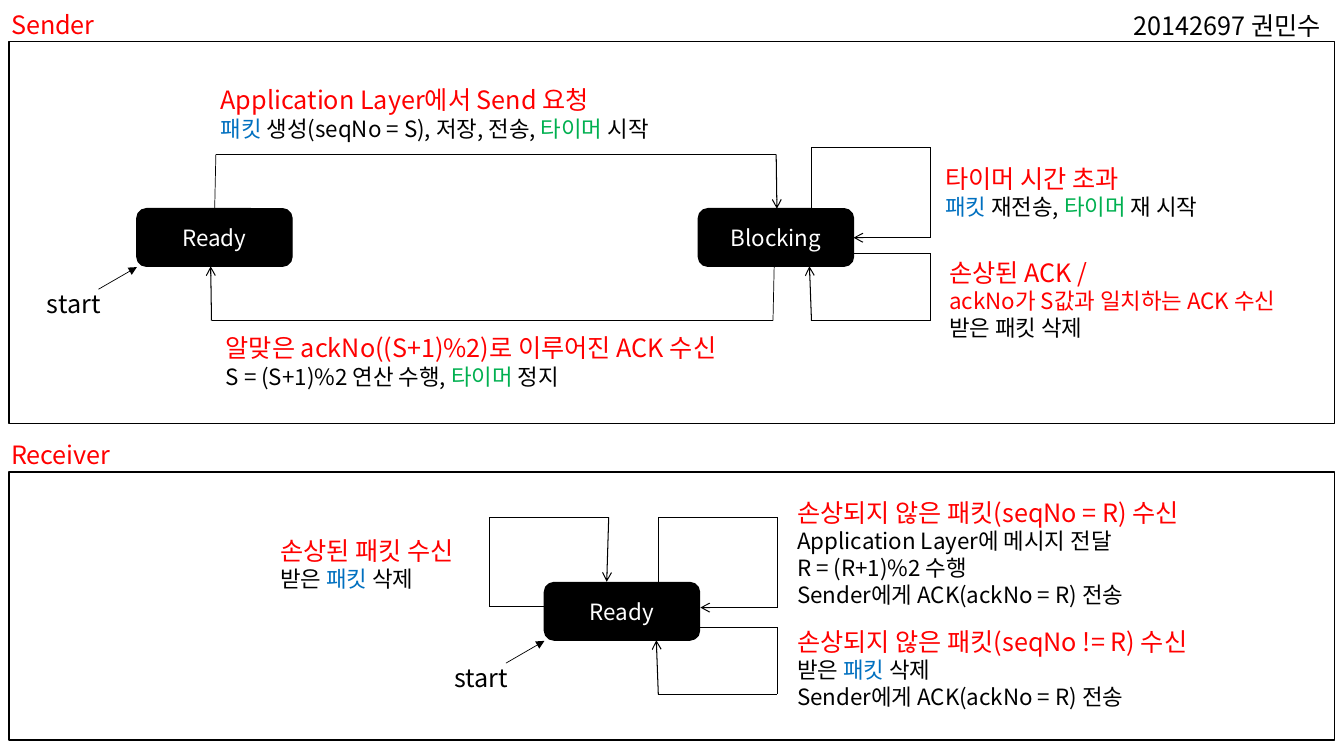
from dataclasses import dataclass
from lxml.etree import SubElement
from pptx import Presentation
from pptx.dml.color import RGBColor
from pptx.enum.shapes import MSO_CONNECTOR, MSO_SHAPE
from pptx.enum.text import MSO_ANCHOR, PP_ALIGN
from pptx.oxml.ns import qn
from pptx.util import Cm, Pt

FONT = "Noto Sans CJK KR"
HUES = {"black": "000000", "white": "FFFFFF", "red": "FF0000",
        "blue": "0070C0", "green": "00B050"}
Run = tuple[str, str]
Point = tuple[float, float]


@dataclass
class Panel:
    title: str
    top: float
    height: float


@dataclass
class State:
    name: str
    left: float
    top: float
    start: bool = True


@dataclass
class Route:
    points: list[Point]
    head: str = "arrow"
    width: float = 0.75

    def move(self, dx: float, dy: float) -> "Route":
        return Route([(x + dx, y + dy) for x, y in self.points])


@dataclass
class Label:
    left: float
    top: float
    width: float
    height: float
    lines: list[list[Run]]
    align: PP_ALIGN = PP_ALIGN.LEFT


deck = Presentation()
deck.slide_width, deck.slide_height = Cm(33.87), Cm(19.05)
slide = deck.slides.add_slide(deck.slide_layouts[6])
shapes = slide.shapes


def color(name: str) -> RGBColor:
    return RGBColor.from_string(HUES[name])


def write(para, runs: list[Run], size: int) -> None:
    para.font.size = Pt(size)
    para.font.name = FONT
    base = para._p.pPr.find(qn("a:defRPr"))
    SubElement(base, qn("a:ea")).set("typeface", FONT)
    hues = {hue for _, hue in runs}
    if len(hues) == 1:
        para.font.color.rgb = color(runs[0][1])
    for text, hue in runs:
        run = para.add_run()
        run.text = text
        if len(hues) > 1:
            run.font.color.rgb = color(hue)


def draw_label(label: Label) -> None:
    box = shapes.add_textbox(Cm(label.left), Cm(label.top),
                             Cm(label.width), Cm(label.height))
    frame = box.text_frame
    frame.word_wrap = True
    for i, runs in enumerate(label.lines):
        para = frame.add_paragraph() if i else frame.paragraphs[0]
        para.alignment = label.align
        write(para, runs, 16 if i else 18)


def draw_leg(start: Point, end: Point, width: float, head: str = "") -> None:
    leg = shapes.add_connector(MSO_CONNECTOR.STRAIGHT, Cm(start[0]),
                               Cm(start[1]), Cm(end[0]), Cm(end[1]))
    leg.line.color.rgb = color("black")
    leg.line.width = Pt(width)
    if head:
        SubElement(leg.line._get_or_add_ln(), qn("a:tailEnd")).set("type", head)
    SubElement(leg._element.spPr, qn("a:effectLst"))


def draw_route(route: Route) -> None:
    *legs, last = zip(route.points, route.points[1:])
    for leg in legs:
        draw_leg(*leg, 0.5)
    draw_leg(*last, route.width, route.head)


def draw_box(kind: MSO_SHAPE, left: float, top: float,
             width: float, height: float):
    box = shapes.add_shape(kind, Cm(left), Cm(top), Cm(width), Cm(height))
    box.shadow.inherit = False
    box.line.color.rgb = color("black")
    box.line.width = Pt(1)
    return box


def draw_state(state: State) -> None:
    x, y = state.left, state.top
    box = draw_box(MSO_SHAPE.ROUNDED_RECTANGLE, x, y, 3.91, 1.45)
    box.fill.solid()
    box.fill.fore_color.rgb = color("black")
    box.text_frame.vertical_anchor = MSO_ANCHOR.MIDDLE
    para = box.text_frame.paragraphs[0]
    para.alignment = PP_ALIGN.CENTER
    write(para, [(state.name, "white")], 16)
    if state.start:
        draw_route(Route([(x - 0.97, y + 2.03), (x, y + 1.47)],
                         "triangle", 0.5))
        draw_label(Label(x - 3, y + 1.88, 2.82, 1.02,
                         [[("start", "black")]], PP_ALIGN.CENTER))


def draw_panel(panel: Panel) -> None:
    draw_box(MSO_SHAPE.RECTANGLE, 0.23, panel.top, 33.4,
             panel.height).fill.background()
    draw_label(Label(0.03, panel.top - 0.94, 14.15, 1.02,
                     [[(panel.title, "red")]]))


# Panels and states
panels = [Panel("Sender", 1.04, 9.63), Panel("Receiver", 11.89, 6.76)]
states = [State("Ready", 3.45, 5.26), State("Blocking", 17.6, 5.26, False),
          State("Ready", 13.72, 14.68)]

# Transitions; the receiver's right loops repeat the sender's
upper = Route([(20.45, 5.44), (20.45, 3.71), (23.44, 3.71),
               (23.44, 5.99), (21.51, 5.99)])
lower = Route([(21.51, 6.38), (23.44, 6.38), (23.44, 8.08),
               (20.45, 8.08), (20.4, 6.71)])
routes = [
    Route([(5.41, 5.26), (5.44, 3.89), (19.56, 3.89), (19.58, 5.26)]),
    Route([(19.51, 6.71), (19.48, 8.08), (5.33, 8.08), (5.31, 6.71)]),
    upper, lower, upper.move(-3.86, 9.32), lower.move(-3.86, 9.42),
    Route([(13.72, 15.29), (12.32, 15.29), (12.32, 13.03),
           (15.34, 13.03), (15.29, 14.66)]),
]

# Event in red, actions below it
packet, timer = ("패킷", "blue"), ("타이머", "green")
reply = [("Sender에게 ACK(ackNo = R) 전송", "black")]
labels = [
    Label(28.32, 0.13, 11.53, 1.02, [[("20142697 권민수", "black")]]),
    Label(5.31, 2.01, 14.15, 1.7, [
        [("Application Layer에서 Send 요청", "red")],
        [packet, (" 생성(seqNo = S), 저장, 전송, ", "black"),
         timer, (" 시작", "black")]]),
    Label(23.57, 3.99, 14.15, 1.7, [
        [("타이머 시간 초과", "red")],
        [packet, (" 재전송, ", "black"), timer, (" 재 시작", "black")]]),
    Label(23.67, 6.35, 10.87, 2.39, [
        [("손상된 ACK /", "red")],
        [("ackNo가 S값과 일치하는 ACK 수신", "red")],
        [("받은 패킷 삭제", "black")]]),
    Label(5.44, 8.26, 14.15, 1.7, [
        [("알맞은 ackNo((S+1)%2)로 이루어진 ACK 수신", "red")],
        [("S = (S+1)%2 연산 수행, ", "black"), timer, (" 정지", "black")]]),
    Label(6.81, 13.36, 5.51, 1.7, [
        [("손상된 패킷 수신", "red")],
        [("받은 ", "black"), packet, (" 삭제", "black")]]),
    Label(19.84, 12.4, 11.25, 3.07, [
        [("손상되지 않은 패킷(seqNo = R) 수신", "red")],
        [("Application Layer에 메시지 전달", "black")],
        [("R = (R+1)%2 수행", "black")],
        reply]),
    Label(19.84, 15.65, 11.25, 2.39, [
        [("손상되지 않은 패킷(seqNo != R) 수신", "red")],
        [("받은 ", "black"), packet, (" 삭제", "black")],
        reply]),
]

for draw, items in ((draw_panel, panels), (draw_state, states),
                    (draw_route, routes), (draw_label, labels)):
    for item in items:
        draw(item)

deck.save("out.pptx")
